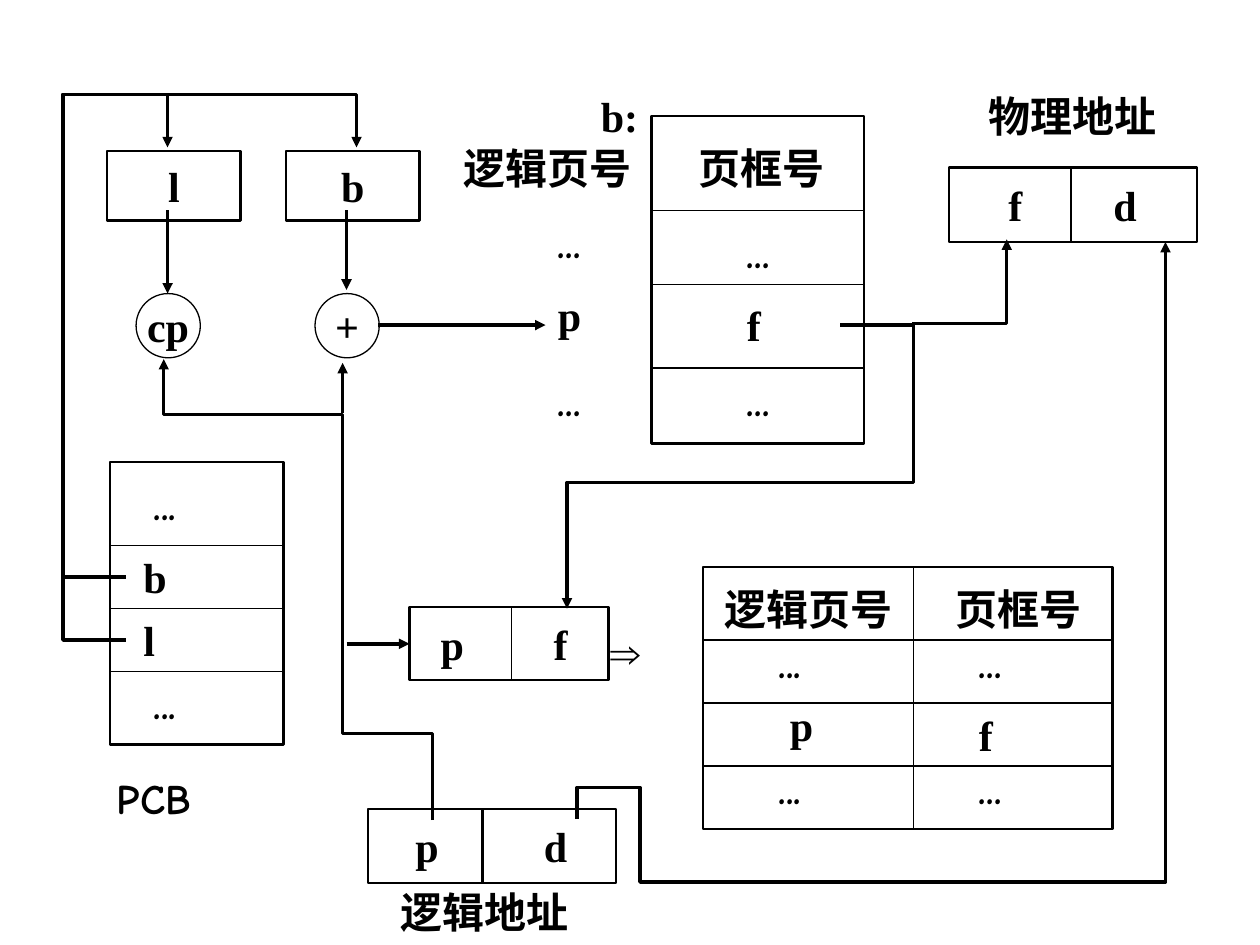
"""Build a slide showing address translation with a page table and an associative memory."""
import lxml.etree
import pptx
import pptx.dml.color
import pptx.enum.shapes
import pptx.enum.text
import pptx.oxml.ns
import pptx.util

Inches = pptx.util.Inches
Pt = pptx.util.Pt
qn = pptx.oxml.ns.qn
PP_ALIGN = pptx.enum.text.PP_ALIGN
MSO_SHAPE = pptx.enum.shapes.MSO_SHAPE


def rgb(color):
    return pptx.dml.color.RGBColor.from_string(color)


def add_text(tf, text, font="Times New Roman", size=24, color="000000", align=PP_ALIGN.LEFT,
             anchor=pptx.enum.text.MSO_ANCHOR.TOP, wrap=True, tabs=()):
    tf.word_wrap = wrap
    tf.vertical_anchor = anchor
    p = tf.paragraphs[0]
    p.alignment = align
    if tabs:
        tab_list = lxml.etree.SubElement(p._p.get_or_add_pPr(), qn("a:tabLst"))
        for pos in tabs:
            lxml.etree.SubElement(tab_list, qn("a:tab"), pos=str(Inches(pos)), algn="ctr")
    r = p.add_run()
    r.text = text
    r.font.name = font
    r.font.size = Pt(size)
    r.font.bold = True
    r.font.color.rgb = rgb(color)


prs = pptx.Presentation()
prs.slide_width, prs.slide_height = Inches(10), Inches(7.5)
s = prs.slides.add_slide(prs.slide_layouts[6])

RECT, OVAL = MSO_SHAPE.RECTANGLE, MSO_SHAPE.OVAL
boxes = {
    "associative memory": (RECT, 5.58, 4.5, 3.25, 2.08, "", ()),
    "length register": (RECT, 0.85, 1.2, 1.06, 0.55, "l", ()),
    "base register": (RECT, 2.27, 1.2, 1.06, 0.55, "b", ()),
    "pcb": (RECT, 0.87, 3.67, 1.38, 2.24, "", ()),
    "page table": (RECT, 5.17, 0.92, 1.69, 2.6, "", ()),
    "physical address": (RECT, 7.53, 1.33, 1.97, 0.59, "\tf\td", (0.43, 1.3)),
    "logical address": (RECT, 2.92, 6.42, 1.97, 0.59, "\tp\td", (0.37, 1.39)),
    "adder": (OVAL, 2.5, 2.33, 0.51, 0.51, "+", ()),
    "comparator": (OVAL, 1.08, 2.33, 0.51, 0.51, "cp", ()),
    "entry": (RECT, 3.25, 4.82, 1.58, 0.58, "\tp\tf", (0.24, 1.1)),
}
shapes = {}
for name, (kind, x, y, w, h, text, tabs) in boxes.items():
    sp = s.shapes.add_shape(kind, Inches(x), Inches(y), Inches(w), Inches(h))
    sp.shadow.inherit = False
    sp.fill.solid()
    sp.fill.fore_color.rgb = rgb("FFFFFF")
    sp.line.color.rgb = rgb("000000")
    sp.line.width = Pt(1.25 if kind == RECT else 0.75)
    if text:
        add_text(sp.text_frame, text, align=PP_ALIGN.LEFT if tabs else PP_ALIGN.CENTER,
                 anchor=pptx.enum.text.MSO_ANCHOR.MIDDLE, wrap=bool(tabs), tabs=tabs)
    shapes[name] = sp

labels = [
    ("逻辑页号", 5.58, 4.58, 1.67, {"align": PP_ALIGN.CENTER}),
    ("页框号", 7.25, 4.58, 1.67, {"align": PP_ALIGN.CENTER}),
    ("p", 6.17, 5.5, 0.58, {}),
    ("f", 7.67, 5.58, 0.58, {}),
    ("b", 1.04, 4.33, 0.92, {}),
    ("l", 1.04, 4.83, 0.92, {}),
    ("PCB", 0.83, 6.08, 1, {"font": "Comic Neue"}),
    ("页框号", 5.25, 1.08, 1.58, {"align": PP_ALIGN.CENTER}),
    ("逻辑页号", 3.58, 1.08, 1.67, {}),
    ("f", 5.83, 2.33, 0.92, {}),
    ("p", 4.33, 2.25, 0.75, {}),
    ("物理地址", 7.75, 0.67, 1.67, {}),
    ("逻辑地址", 3.08, 6.99, 1.67, {}),
    ("b:", 4.67, 0.67, 0.58, {}),
    ("⇒", 4.75, 4.92, 0.42, {"font": "Arial"}),
]
dots = [(x, y, 0.58) for x in (6.08, 7.67) for y in (5, 6)]
dots += [(1.12, 3.75, 0.83), (1.12, 5.33, 0.83), (5.83, 1.75, 0.92), (5.83, 2.92, 0.67),
         (4.33, 1.67, 0.75), (4.33, 2.92, 0.75)]
labels += [("...", x, y, w, {"font": "Comic Neue"}) for x, y, w in dots]
filled = [(1.12, 3.75), (5.25, 1.08)]
for text, x, y, w, style in labels:
    sp = s.shapes.add_textbox(Inches(x), Inches(y), Inches(w), Inches(0.5))
    add_text(sp.text_frame, text, **style)
    sp.text_frame.auto_size = pptx.enum.text.MSO_AUTO_SIZE.SHAPE_TO_FIT_TEXT
    if (x, y) in filled:
        sp.fill.solid()
        sp.fill.fore_color.rgb = rgb("FFFFFF")

rules = [((5.58, y), (8.83, y)) for y in (5.08, 5.58, 6.08)]
rules += [((0.87, y), (2.25, y)) for y in (4.33, 4.83, 5.33)]
rules += [((5.17, y), (6.86, y)) for y in (1.67, 2.26, 2.92)]
rules += [((7.25, 4.5), (7.25, 6.58)), ((8.5, 1.33), (8.5, 1.92)), ((4.06, 4.82), (4.06, 5.4))]

strokes = [(points, 0.75, False, None) for points in rules]
strokes += [
    (((3.83, 6.42), (3.83, 7.01)), 1.25, False, None),
    (((2.75, 5.11), (3.25, 5.11)), 2, True, ("entry", 1)),
    (((2.75, 1.67), (2.75, 2.3)), 2, True, None),
    (((1.33, 1.67), (1.33, 2.33)), 2, True, None),
    (((3, 2.58), (4.33, 2.58)), 2, True, None),
    (((2.72, 3.28), (2.72, 2.88)), 1.75, True, None),
    (((1, 4.58), (0.5, 4.58), (0.5, 0.75), (2.83, 0.75), (2.83, 1.17)), 2, True, None),
    (((1, 5.08), (0.5, 5.08), (0.5, 0.75), (1.33, 0.75), (1.33, 1.17)), 2, True, None),
    (((4.58, 6.5), (4.58, 6.25), (5.08, 6.25), (5.08, 7), (9.25, 7), (9.25, 1.92)), 2, True, None),
    (((6.67, 2.58), (7.25, 2.58), (7.25, 3.83), (4.5, 3.83), (4.5, 4.83)), 2, True, None),
    (((3.43, 6.51), (3.43, 5.82), (2.72, 5.82), (2.72, 3.29), (1.3, 3.29), (1.3, 2.85)),
     1.75, True, None),
    (((7.24, 2.57), (7.99, 2.57), (7.99, 1.9)), 1.75, True, None),
]
for points, width, arrow, target in strokes:
    points = [(Inches(x), Inches(y)) for x, y in points]
    if len(points) == 2:
        sp = s.shapes.add_connector(pptx.enum.shapes.MSO_CONNECTOR.STRAIGHT, *points[0], *points[1])
        if target:
            sp.end_connect(shapes[target[0]], target[1])
    else:
        builder = s.shapes.build_freeform(*points[0])
        builder.add_line_segments(points[1:], close=False)
        sp = builder.convert_to_shape()
        sp.fill.background()
    sp.line.color.rgb = rgb("000000")
    sp.line.width = Pt(width)
    if arrow:
        lxml.etree.SubElement(sp.line._get_or_add_ln(), qn("a:tailEnd"), type="triangle")
    lxml.etree.SubElement(sp._element.spPr, qn("a:effectLst"))

prs.save("out.pptx")
